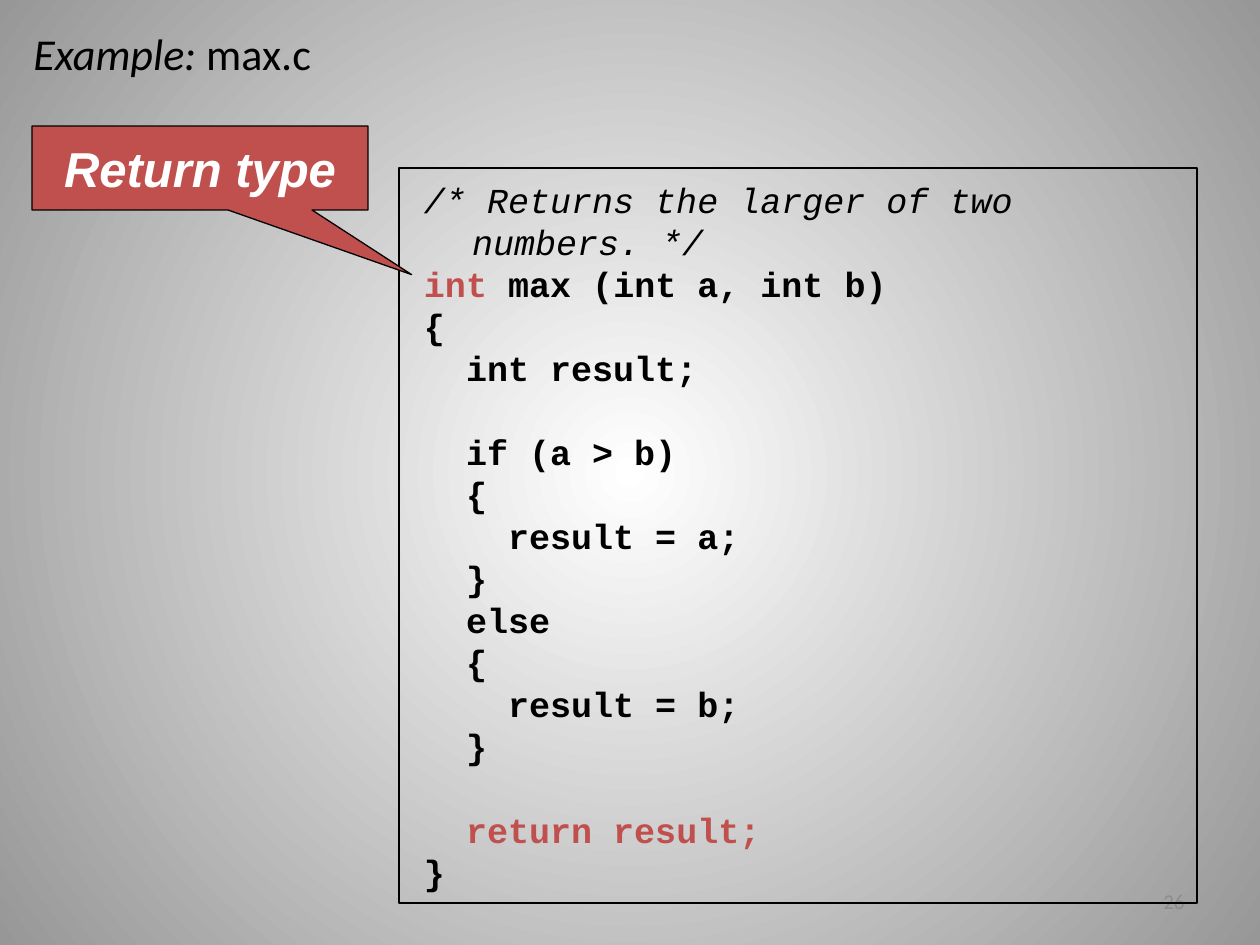
from dataclasses import dataclass

from lxml.etree import SubElement
from pptx import Presentation
from pptx.dml.color import RGBColor
from pptx.enum.shapes import MSO_SHAPE
from pptx.enum.text import MSO_ANCHOR, PP_ALIGN
from pptx.oxml.ns import qn
from pptx.util import Emu, Pt

EMU_PER_PX = 914400 / 126


@dataclass(frozen=True)
class Theme:
    black: str = "000000"
    white: str = "FFFFFF"
    accent: str = "C0504D"
    edge: str = "979797"
    muted: str = "8C8C8C"
    body_font: str = "Calibri"
    code_font: str = "Courier New"
    callout_font: str = "Arial"
    title_size: float = 25.2
    code_size: int = 20
    code_leading: int = 24
    callout_size: int = 28
    number_size: int = 12
    line_width: float = 0.75


THEME = Theme()

COMMENT = "/* Returns the larger of two numbers. */"
# Each code line is a list of (text, colour) pieces
CODE = [
    [("int", THEME.accent), (" max (int a, int b)", THEME.black)],
    *([(line, THEME.black)] if line else [] for line in (
        "{",
        "  int result;",
        "",
        "  if (a > b)",
        "  {",
        "    result = a;",
        "  }",
        "  else",
        "  {",
        "    result = b;",
        "  }",
        "",
    )),
    [("  ", THEME.black), ("return result;", THEME.accent)],
    [("}", THEME.black)],
]


def px(value):
    return Emu(round(value * EMU_PER_PX))


def box(left, top, width, height):
    return px(left), px(top), px(width), px(height)


def color(value):
    return RGBColor.from_string(value)


def add_run(paragraph, text, font, size, fill, bold=False, italic=False):
    run = paragraph.add_run()
    run.text = text
    run.font.name = font
    run.font.size = Pt(size)
    run.font.color.rgb = color(fill)
    run.font.bold = bold
    run.font.italic = italic


def add_label(slide, bounds, align=PP_ALIGN.LEFT):
    """Add a middle-anchored text box and return its paragraph."""
    frame = slide.shapes.add_textbox(*bounds).text_frame
    frame.word_wrap = True
    frame.vertical_anchor = MSO_ANCHOR.MIDDLE
    paragraph = frame.paragraphs[0]
    paragraph.alignment = align
    return paragraph


def add_outlined_shape(slide, kind, bounds, fill=None):
    shape = slide.shapes.add_shape(kind, *bounds)
    shape.shadow.inherit = False
    if fill:
        shape.fill.solid()
        shape.fill.fore_color.rgb = color(fill)
    else:
        shape.fill.background()
    shape.line.color.rgb = color(THEME.black)
    shape.line.width = Pt(THEME.line_width)
    shape.text_frame.word_wrap = True
    return shape


def set_radial_background(slide):
    fill = slide.background.fill
    fill.gradient()
    for stop, position, value in zip(fill.gradient_stops, (0, 1), (THEME.white, THEME.edge)):
        stop.position = position
        stop.color.rgb = color(value)
    # Swap the linear direction for a circle around the centre
    gradient = next(slide.background._cSld.iter(qn("a:gradFill")))
    linear = gradient.find(qn("a:lin"))
    if linear is not None:
        gradient.remove(linear)
    circle = SubElement(gradient, qn("a:path"), {"path": "circle"})
    SubElement(circle, qn("a:fillToRect"), {side: "50000" for side in "ltrb"})


def format_code_paragraph(paragraph):
    paragraph.alignment = PP_ALIGN.LEFT
    paragraph.line_spacing = Pt(THEME.code_leading)
    properties = paragraph._p.get_or_add_pPr()
    properties.set("marL", str(px(48)))
    properties.set("indent", str(-px(48)))


def add_code_listing(slide):
    shape = add_outlined_shape(slide, MSO_SHAPE.RECTANGLE, box(399, 168, 798, 735))
    frame = shape.text_frame
    frame.vertical_anchor = MSO_ANCHOR.TOP
    frame.margin_left, frame.margin_top = px(25), px(10)
    frame.margin_right, frame.margin_bottom = px(13), px(6)
    paragraph = frame.paragraphs[0]
    format_code_paragraph(paragraph)
    add_run(paragraph, COMMENT, THEME.code_font, THEME.code_size, THEME.black, italic=True)
    for pieces in CODE:
        paragraph = frame.add_paragraph()
        format_code_paragraph(paragraph)
        for text, fill in pieces:
            add_run(paragraph, text, THEME.code_font, THEME.code_size, fill, bold=True)
        if not pieces:  # an empty code line keeps the code size
            SubElement(paragraph._p, qn("a:endParaRPr"), {"sz": str(THEME.code_size * 100)})


def add_callout(slide, text):
    shape = add_outlined_shape(
        slide, MSO_SHAPE.RECTANGULAR_CALLOUT, box(32, 126, 336, 84), THEME.accent)
    shape.adjustments[0] = 0.63
    shape.adjustments[1] = 1.27
    shape.text_frame.vertical_anchor = MSO_ANCHOR.MIDDLE
    paragraph = shape.text_frame.paragraphs[0]
    paragraph.alignment = PP_ALIGN.CENTER
    add_run(paragraph, text, THEME.callout_font, THEME.callout_size, THEME.white,
            bold=True, italic=True)


def main():
    presentation = Presentation()
    presentation.slide_width, presentation.slide_height = px(1260), px(945)
    slide = presentation.slides.add_slide(presentation.slide_layouts[6])
    set_radial_background(slide)

    # Slide number, behind the listing
    number = add_label(slide, box(903, 876, 294, 50), PP_ALIGN.RIGHT)
    add_run(number, "26", THEME.body_font, THEME.number_size, THEME.muted)

    add_code_listing(slide)

    # Title
    title = add_label(slide, box(21, 21, 420, 63))
    add_run(title, "Example: ", THEME.body_font, THEME.title_size, THEME.black, italic=True)
    add_run(title, "max.c", THEME.body_font, THEME.title_size, THEME.black)

    add_callout(slide, "Return type")
    presentation.save("out.pptx")


if __name__ == "__main__":
    main()
